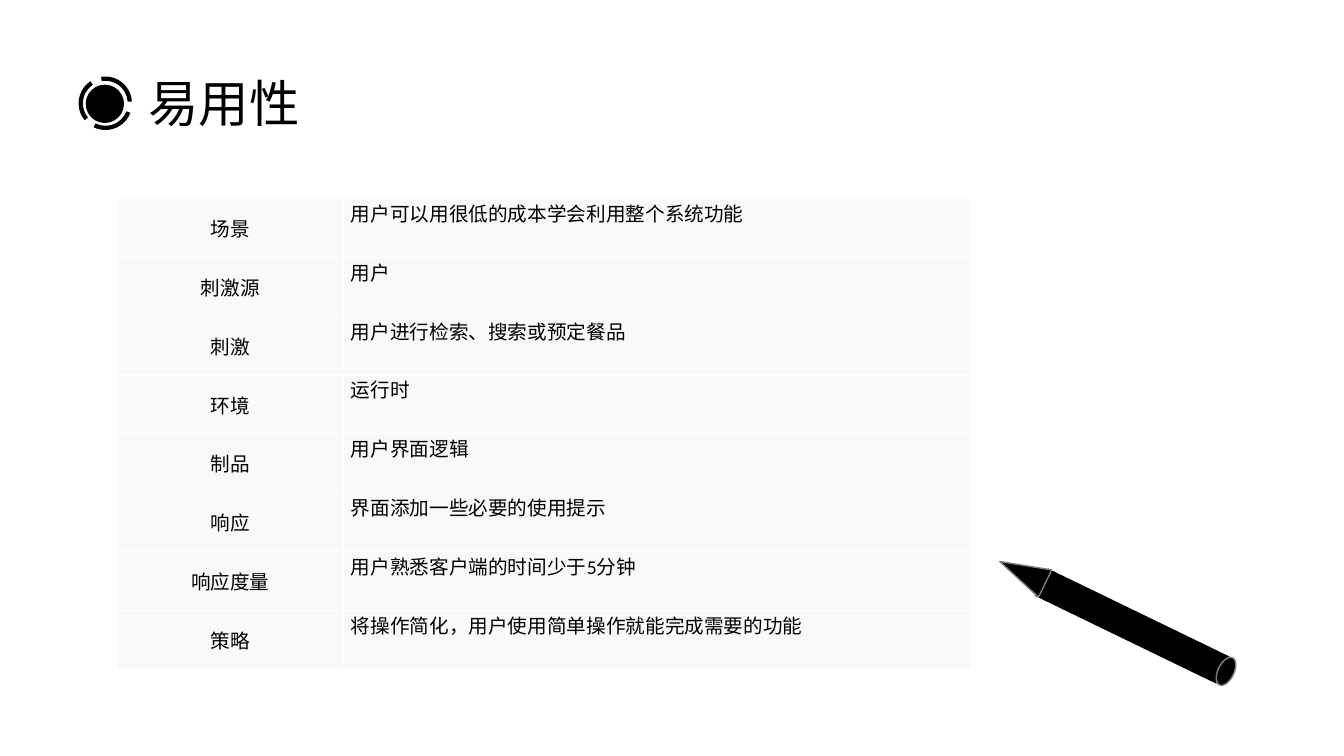
from dataclasses import dataclass

from lxml.etree import SubElement
from pptx import Presentation
from pptx.dml.color import RGBColor as Rgb
from pptx.enum.shapes import MSO_SHAPE as Kind
from pptx.enum.text import MSO_ANCHOR as Anchor, MSO_AUTO_SIZE as Fit, PP_ALIGN as Align
from pptx.oxml.ns import qn
from pptx.util import Inches, Pt


@dataclass(frozen=True)
class Theme:
    """Colours, fonts and type sizes of the slide."""
    ink: str = "000000"
    edge: str = "808080"
    cell: str = "F9F9F9"
    rule: str = "FFFFFF"
    head: str = "League Spartan"
    body: str = "Calibri"
    big: int = 36
    small: int = 14


THEME = Theme()

ROWS = [
    ("场景", "用户可以用很低的成本学会利用整个系统功能"),
    ("刺激源", "用户"),
    ("刺激", "用户进行检索、搜索或预定餐品"),
    ("环境", "运行时"),
    ("制品", "用户界面逻辑"),
    ("响应", "界面添加一些必要的使用提示"),
    ("响应度量", "用户熟悉客户端的时间少于5分钟"),
    ("策略", "将操作简化，用户使用简单操作就能完成需要的功能"),
]


def apply(item, form):
    """Set each attribute named in a dict of format values."""
    for name, value in form.items():
        setattr(item, name, value)


def write(frame, text, font, size, align):
    """Put one styled paragraph in a text frame."""
    frame.text = text
    para = frame.paragraphs[0]
    para.alignment = align
    run = para.runs[0]
    apply(run.font, {"name": font, "size": Pt(size), "bold": False})
    run.font.color.rgb = Rgb.from_string(THEME.ink)


def add_title(slide, text, box):
    """Place and style the title placeholder."""
    title = slide.shapes.title
    apply(title, dict(zip(("left", "top", "width", "height"), map(Inches, box))))
    frame = title.text_frame
    write(frame, text, THEME.head, THEME.big, Align.LEFT)
    apply(frame, {"word_wrap": True, "vertical_anchor": Anchor.TOP,
                  "auto_size": Fit.SHAPE_TO_FIT_TEXT})


def add_part(group, kind, box, turn=0, flips=(), line=None):
    """Add one solid shape, turned and flipped, to a group."""
    part = group.shapes.add_shape(kind, *map(Inches, box))
    part.rotation = turn
    part.shadow.inherit = False
    part.fill.solid()
    part.fill.fore_color.rgb = Rgb.from_string(THEME.ink)
    if line:
        part.line.color.rgb = Rgb.from_string(line)
        part.line.width = Pt(1)
    else:
        part.line.fill.background()
    for flip in flips:
        part._element.spPr.xfrm.set(flip, "1")
    return part


def add_pencil(slide):
    """Draw the slanted pencil from shaft, end and tip."""
    group = slide.shapes.add_group_shape()
    turn = 115.9
    add_part(group, Kind.RECTANGLE, (11.08, 5.21, 0.3, 2), turn, ["flipH"])
    add_part(group, Kind.OVAL, (12.01, 6.58, 0.3, 0.16), turn, ["flipH"], THEME.edge)
    add_part(group, Kind.ISOSCELES_TRIANGLE, (9.99, 5.43, 0.3, 0.5), turn,
             ["flipH", "flipV"], THEME.edge)


def add_badge(slide):
    """Draw the dot ringed by three equal arcs."""
    group = slide.shapes.add_group_shape()
    add_part(group, Kind.OVAL, (0.85, 0.84, 0.38, 0.38))
    for turn in range(0, 360, 120):
        arc = add_part(group, Kind.BLOCK_ARC, (0.78, 0.76, 0.53, 0.53), turn)
        for index, value in enumerate((156.51, 213.66, 0.08)):
            arc.adjustments[index] = value


def add_rules(cell):
    """Give a cell thin borders on all four sides."""
    props = cell._tc.get_or_add_tcPr()
    for side in ("lnL", "lnR", "lnT", "lnB"):
        line = SubElement(props, qn(f"a:{side}"), w=str(Pt(1)))
        fill = SubElement(line, qn("a:solidFill"))
        SubElement(fill, qn("a:srgbClr"), val=THEME.rule)


def add_grid(slide, rows, box, widths):
    """Add the table of labels and their details."""
    table = slide.shapes.add_table(len(rows), len(widths), *map(Inches, box)).table
    apply(table, {"first_row": False, "horz_banding": False})
    for column, width in zip(table.columns, widths):
        column.width = Inches(width)
    looks = ((Align.CENTER, Anchor.MIDDLE), (Align.JUSTIFY, Anchor.TOP))
    for y, row in enumerate(rows):
        for x, (text, (align, anchor)) in enumerate(zip(row, looks)):
            cell = table.cell(y, x)
            write(cell.text_frame, text, THEME.body, THEME.small, align)
            apply(cell, {"vertical_anchor": anchor, "margin_top": 0, "margin_bottom": 0,
                         "margin_left": Inches(0.07), "margin_right": Inches(0.07)})
            add_rules(cell)
            cell.fill.solid()
            cell.fill.fore_color.rgb = Rgb.from_string(THEME.cell)


def main():
    """Build the slide and save it."""
    deck = Presentation()
    apply(deck, {"slide_width": Inches(13.33), "slide_height": Inches(7.5)})
    slide = deck.slides.add_slide(deck.slide_layouts[5])
    add_pencil(slide)
    add_title(slide, "易用性", (1.37, 0.67, 5.25, 0.71))
    add_badge(slide)
    add_grid(slide, ROWS, (1.16, 1.97, 8.47, 4.67), (2.25, 6.22))
    deck.save("out.pptx")


if __name__ == "__main__":
    main()
